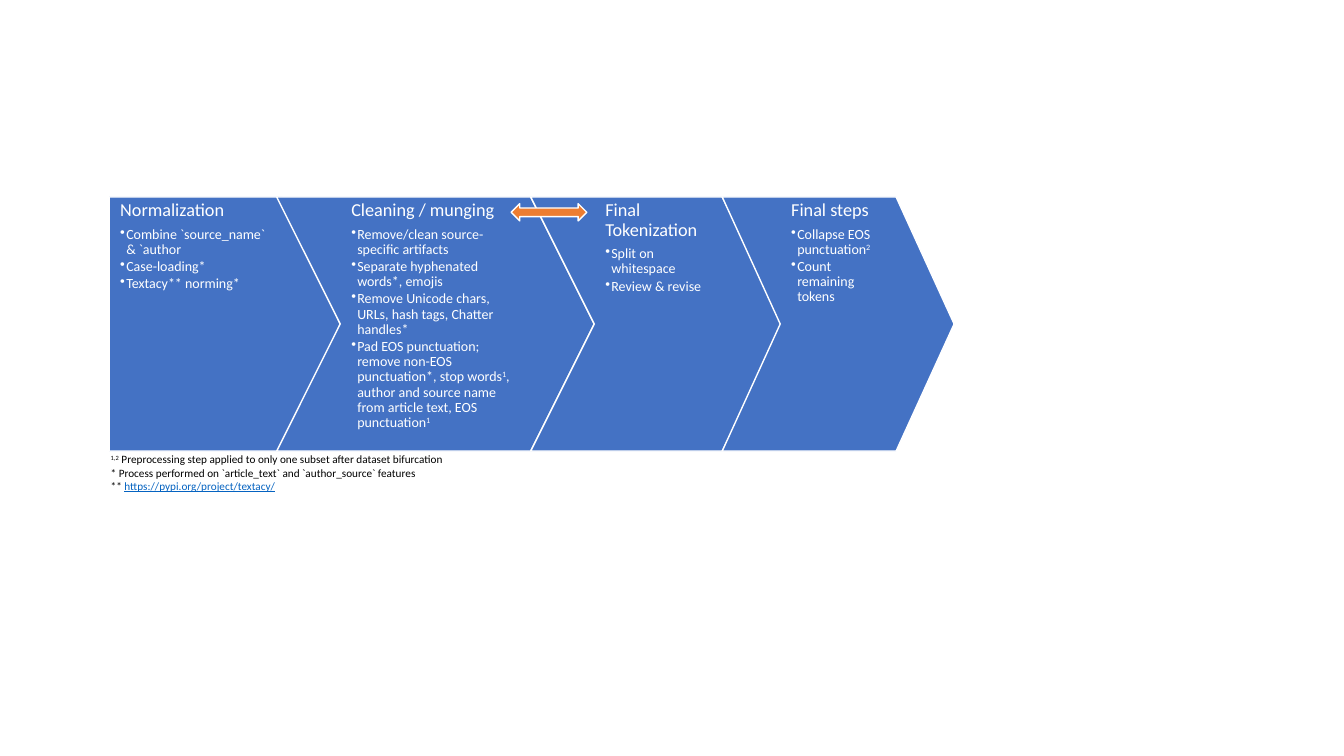
import pptx
import pptx.dml.color
import pptx.enum.shapes
import pptx.enum.text
import pptx.oxml
import pptx.oxml.ns
import pptx.util

PRESET = pptx.enum.shapes.MSO_SHAPE
COLUMNS, ROWS = 160, 90
BLUE, ORANGE, WHITE, BLACK, LINK = "4472C4", "ED7D31", "FFFFFF", "000000", "0563C1"


def color(value):
    return pptx.dml.color.RGBColor.from_string(value)


class Board:
    font = "Calibri"
    heading_size, bullet_size, note_size = 13, 10, 8

    def __init__(self, presentation):
        self.cell_width = presentation.slide_width / COLUMNS
        self.cell_height = presentation.slide_height / ROWS
        self.slide = presentation.slides.add_slide(presentation.slide_layouts[6])

    def place(self, left, top, width, height):
        return (round(left * self.cell_width), round(top * self.cell_height),
                round(width * self.cell_width), round(height * self.cell_height))

    def arrow(self, preset, box, fill, adjustment=None):
        shape = self.slide.shapes.add_shape(preset, *self.place(*box))
        shape.shadow.inherit = False
        shape.fill.solid()
        shape.fill.fore_color.rgb = color(fill)
        shape.line.color.rgb = color(WHITE)
        shape.line.width = pptx.util.Pt(1)
        if adjustment is not None:
            shape.adjustments[0] = adjustment

    def text_box(self, box, margins):
        text_frame = self.slide.shapes.add_textbox(*self.place(*box)).text_frame
        text_frame.word_wrap = True
        text_frame.vertical_anchor = pptx.enum.text.MSO_ANCHOR.TOP
        left, top, right, bottom = map(pptx.util.Inches, margins)
        text_frame.margin_left, text_frame.margin_right = left, right
        text_frame.margin_top, text_frame.margin_bottom = top, bottom
        return text_frame

    def add_text(self, paragraph, text, size, text_color):
        for index, piece in enumerate(text.split("^")):
            if not piece:
                continue
            run = paragraph.add_run()
            run.text = piece
            run.font.name = self.font
            run.font.size = pptx.util.Pt(size)
            run.font.color.rgb = color(text_color)
            if index % 2:
                run._r.get_or_add_rPr().set("baseline", "30000")

    def hang(self, paragraph, inches, bullet=None):
        properties = paragraph._p.get_or_add_pPr()
        indent = pptx.util.Inches(inches)
        properties.set("marL", str(indent))
        properties.set("indent", str(-indent))
        if bullet:
            mark = pptx.oxml.parse_xml(
                f'<a:buChar {pptx.oxml.ns.nsdecls("a")} char="{bullet}"/>')
            properties.append(mark)

    def step_text(self, box, right_margin, heading, bullets):
        text_frame = self.text_box(box, (0.11, 0.04, right_margin, 0.04))
        paragraph = text_frame.paragraphs[0]
        paragraph.line_spacing = 0.9
        paragraph.space_after = pptx.util.Pt(4.5)
        self.add_text(paragraph, heading, self.heading_size, WHITE)
        for bullet in bullets:
            paragraph = text_frame.add_paragraph()
            paragraph.level = 1
            paragraph.line_spacing = 0.9
            paragraph.space_after = pptx.util.Pt(1.5)
            self.hang(paragraph, 0.06, "•")
            self.add_text(paragraph, bullet, self.bullet_size, WHITE)

    def footnotes(self, box, notes, address):
        text_frame = self.text_box(box, (0.1, 0.05, 0.1, 0.05))
        for index, note in enumerate(notes):
            paragraph = text_frame.add_paragraph() if index else text_frame.paragraphs[0]
            self.hang(paragraph, 0.38)
            self.add_text(paragraph, note, self.note_size, BLACK)
        self.add_text(paragraph, address, self.note_size, LINK)
        paragraph.runs[-1].font.underline = True


presentation = pptx.Presentation()
presentation.slide_width = pptx.util.Inches(13.33)
presentation.slide_height = pptx.util.Inches(7.5)
board = Board(presentation)

steps = [
    (27.5, "Normalization", [
        "Combine `source_name` & `author",
        "Case-loading*",
        "Textacy** norming*"]),
    (37.8, "Cleaning / munging", [
        "Remove/clean source-specific artifacts",
        "Separate hyphenated words*, emojis",
        "Remove Unicode chars, URLs, hash tags, Chatter handles*",
        "Pad EOS punctuation; remove non-EOS punctuation*, stop words^1^, "
        "author and source name from article text, EOS punctuation^1^"]),
    (30.36, "Final Tokenization", ["Split on whitespace", "Review & revise"]),
    (27.6, "Final steps", ["Collapse EOS punctuation^2^", "Count remaining tokens"]),
]

step_left, step_top, step_height = 13, 23.45, 30.24
point = 0.25
for index, (width, heading, bullets) in enumerate(steps):
    notch = point * min(width, step_height)
    preset = PRESET.CHEVRON if index else PRESET.PENTAGON
    board.arrow(preset, (step_left, step_top, width, step_height), BLUE, point)
    if index:
        text_left, text_width, right_margin = step_left + notch, width - 2 * notch, 0.11
    else:
        text_left, text_width, right_margin = step_left, width - notch / 2, 0.44
    board.step_text((text_left, step_top, text_width, step_height),
                    right_margin, heading, bullets)
    step_left += width - point * step_height

board.footnotes((12, 53.3, 48.7, 6), [
    "^1,2^ Preprocessing step applied to only one subset after dataset bifurcation",
    "* Process performed on `article_text` and `author_source` features",
    "** "], "https://pypi.org/project/textacy/")
board.arrow(PRESET.LEFT_RIGHT_ARROW, (60.85, 24.25, 9, 2.05), ORANGE)

presentation.save("out.pptx")
